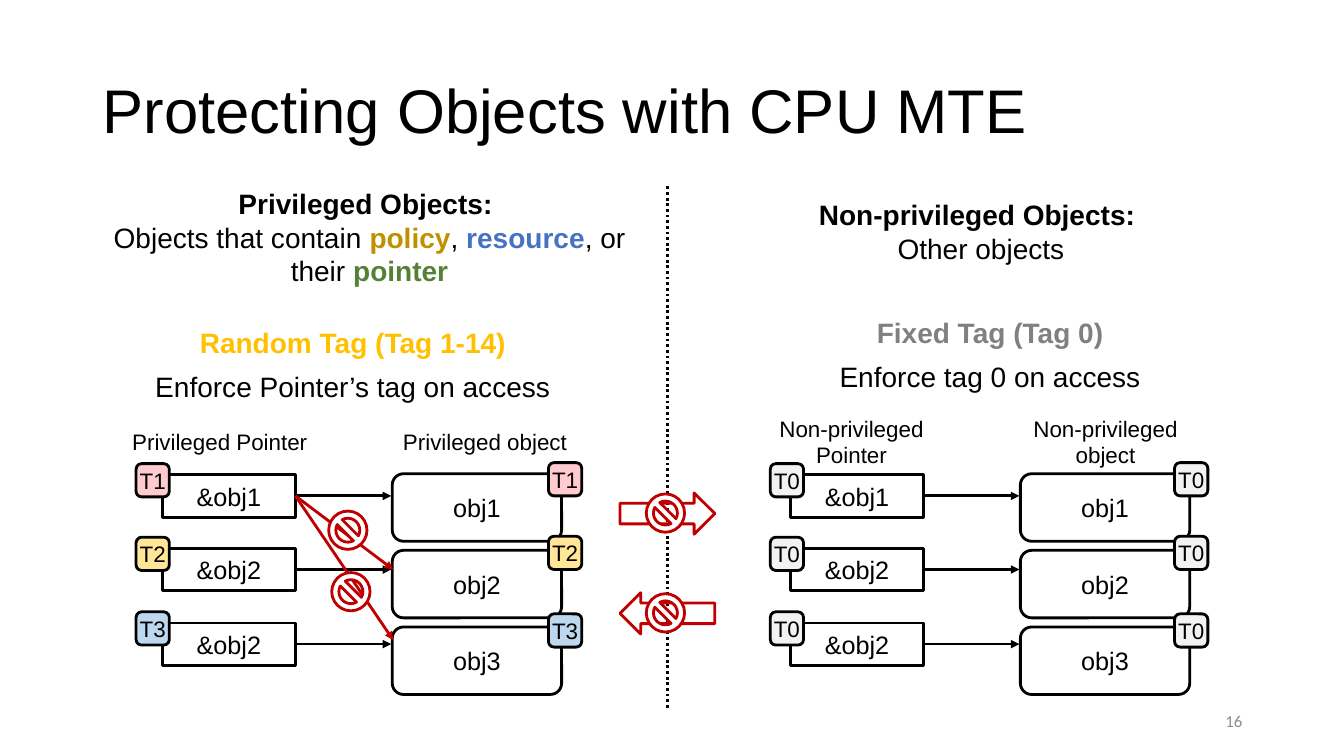
from lxml.etree import SubElement
from pptx import Presentation
from pptx.dml.color import RGBColor
from pptx.enum.dml import MSO_LINE_DASH_STYLE as Dash
from pptx.enum.shapes import MSO_CONNECTOR as Connector, MSO_SHAPE as Shape
from pptx.enum.text import MSO_ANCHOR as Anchor, MSO_AUTO_SIZE as AutoSize, PP_ALIGN as Align
from pptx.oxml.ns import qn
from pptx.util import Emu, Pt

BLACK = RGBColor(0x00, 0x00, 0x00)
WHITE = RGBColor(0xFF, 0xFF, 0xFF)
RED = RGBColor(0xC0, 0x00, 0x00)
AMBER = RGBColor(0xFF, 0xC0, 0x00)
OCHRE = RGBColor(0xBF, 0x90, 0x00)
BLUE = RGBColor(0x44, 0x72, 0xC4)
GREEN = RGBColor(0x54, 0x82, 0x35)
GRAY = RGBColor(0x80, 0x80, 0x80)
NUMBER_GRAY = RGBColor(0x8C, 0x8C, 0x8C)
PINK = RGBColor(0xFF, 0xCB, 0xCF)
YELLOW = RGBColor(0xFF, 0xE6, 0x99)
SKY = RGBColor(0xBD, 0xD7, 0xEE)
PALE = RGBColor(0xF2, 0xF2, 0xF2)

PX = 9144


def px(*lengths):
    return [Emu(length * PX) for length in lengths]


def write(frame, *paragraphs, size=20, font="Arial", align=Align.CENTER, anchor=Anchor.TOP,
          inset=None, spacing=None, before=0, fit=AutoSize.NONE):
    frame.word_wrap = True
    frame.auto_size = fit
    frame.vertical_anchor = anchor
    if inset is not None:
        margin = Emu(inset * PX)
        frame.margin_left = frame.margin_right = margin
        frame.margin_top = frame.margin_bottom = margin
    for index, spans in enumerate(paragraphs):
        para = frame.add_paragraph() if index else frame.paragraphs[0]
        para.alignment = align
        para.space_before = Pt(before if index else 0)
        if spacing:
            para.line_spacing = spacing
        for text, color, bold in spans:
            span = para.add_run()
            span.text = text
            span.font.name = font
            span.font.size = Pt(size)
            span.font.bold = bold
            span.font.color.rgb = color


def plain(text, color=BLACK):
    return [(text, color, False)]


def strong(text, color=BLACK):
    return [(text, color, True)]


class Page:
    def __init__(self, deck, line_width=2):
        self.slide = deck.slides.add_slide(deck.slide_layouts[5])
        self.line_width = Pt(line_width)

    def title(self, text, *place):
        box = self.slide.shapes.title
        box.left, box.top, box.width, box.height = px(*place)
        write(box.text_frame, plain(text), size=44, align=Align.LEFT,
              anchor=Anchor.MIDDLE, spacing=0.9)

    def text(self, place, *paragraphs, **style):
        box = self.slide.shapes.add_textbox(*px(*place))
        write(box.text_frame, *paragraphs, **style)

    def column_label(self, text, left, width):
        self.text((left, 417, width, 42), plain(text), size=16,
                  anchor=Anchor.MIDDLE, inset=16)

    def shape(self, kind, place, fill=None, line=BLACK):
        shape = self.slide.shapes.add_shape(kind, *px(*place))
        shape.shadow.inherit = False
        if fill is None:
            shape.fill.background()
        else:
            shape.fill.solid()
            shape.fill.fore_color.rgb = fill
        shape.line.color.rgb = line
        shape.line.width = self.line_width
        return shape

    def label_box(self, text, place, rounding=0.167, fill=None, size=18, inset=16):
        box = self.shape(Shape.ROUNDED_RECTANGLE, place, fill)
        box.adjustments[0] = rounding
        write(box.text_frame, plain(text), size=size, anchor=Anchor.MIDDLE, inset=inset)

    def tag(self, text, left, top, fill):
        self.label_box(text, (left, top, 33, 33), fill=fill, size=16, inset=0)

    def ban(self, left, top):
        self.shape(Shape.NO_SYMBOL, (left, top, 38, 38), WHITE, RED)

    def line(self, ends, color=BLACK, dash=None, arrow=True):
        line = self.slide.shapes.add_connector(Connector.STRAIGHT, *px(*ends))
        line.line.color.rgb = color
        line.line.width = self.line_width
        if dash:
            line.line.dash_style = dash
        properties = line.element.spPr
        if arrow:
            SubElement(properties.find(qn("a:ln")), qn("a:tailEnd"), type="triangle")
        SubElement(properties, qn("a:effectLst"))

    def memory(self, pointer_left, object_left, pointer_tag_left, object_tag_left, tags):
        pointer_right = pointer_left + 132
        pointers = ("&obj1", "&obj2", "&obj2")
        object_tag_tops = (459, 532, 609)
        for row, (pointer, (tag, fill)) in enumerate(zip(pointers, tags)):
            top = 471 + row * 147 // 2
            self.line((pointer_right, top + 21, object_left - 1, top + 21))
            self.label_box(pointer, (pointer_left, top, 132, 42), rounding=0)
            self.tag(tag, pointer_tag_left, top - 11, fill)
            self.label_box(f"obj{row + 1}", (object_left, 470 + 76 * row, 168, 67))
        for (tag, fill), top in zip(tags, object_tag_tops):
            self.tag(tag, object_tag_left, top, fill)


def main():
    deck = Presentation()
    deck.slide_width, deck.slide_height = px(1333, 750)
    page = Page(deck)
    page.title("Protecting Objects with CPU MTE", 92, 40, 1150, 145)
    page.text((942, 695, 300, 40), plain("16", NUMBER_GRAY), size=12, font="Calibri",
              align=Align.RIGHT, anchor=Anchor.MIDDLE)

    page.column_label("Privileged Pointer", 103, 230)
    page.column_label("Privileged object", 374, 214)
    page.memory(161, 389, 135, 544, [("T1", PINK), ("T2", YELLOW), ("T3", SKY)])
    page.column_label("Non-privileged Pointer", 747, 195)
    page.column_label("Non-privileged object", 1003, 187)
    page.memory(784, 1012, 764, 1165, [("T0", PALE)] * 3)

    grow = AutoSize.SHAPE_TO_FIT_TEXT
    page.text((135, 308, 430, 93), strong("Random Tag (Tag 1-14)", AMBER),
              plain("Enforce Pointer’s tag on access"), spacing=1.3, fit=grow)
    page.text((784, 312, 396, 85), strong("Fixed Tag (Tag 0)", GRAY),
              plain("Enforce tag 0 on access"), spacing=0.9, before=10, fit=grow)
    page.text((96, 180, 541, 111), strong("Privileged Objects: "),
              plain("Objects that contain ") + strong("policy", OCHRE) + plain(", ")
              + strong("resource", BLUE) + plain(", or their ") + strong("pointer", GREEN),
              fit=grow)
    page.text((718, 191, 510, 77), strong("Non-privileged Objects: "),
              plain("Other objects"), fit=grow)

    page.line((662, 185, 662, 704), dash=Dash.ROUND_DOT, arrow=False)
    for kind, top in ((Shape.RIGHT_ARROW, 489), (Shape.LEFT_ARROW, 588)):
        page.shape(kind, (615, top, 94, 41), line=RED)
        page.ban(641, top + 1)

    for target in (565, 635):
        page.line((293, 492, 390, target), RED)
    page.ban(326, 507)
    page.ban(329, 568)
    deck.save("out.pptx")


if __name__ == "__main__":
    main()
